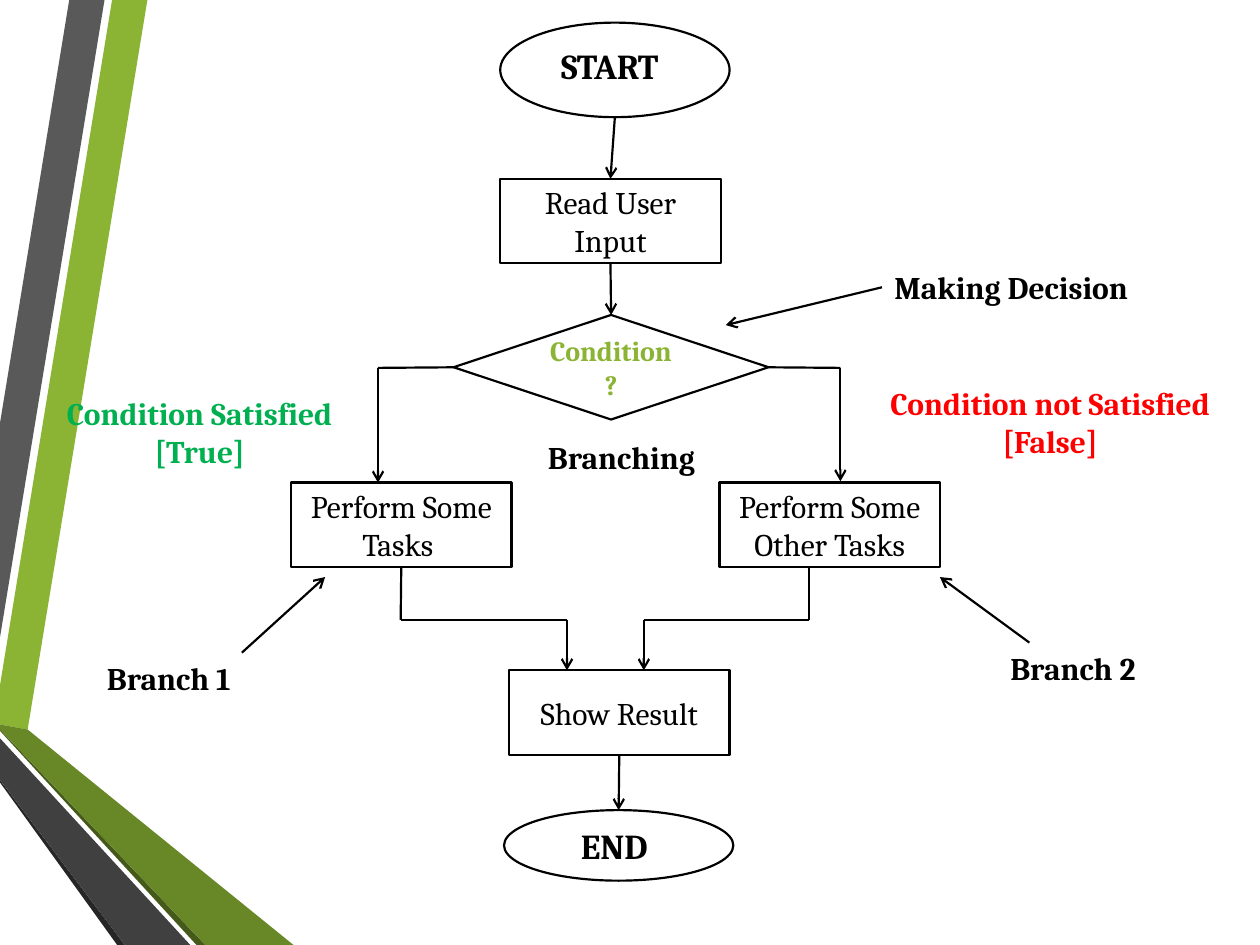
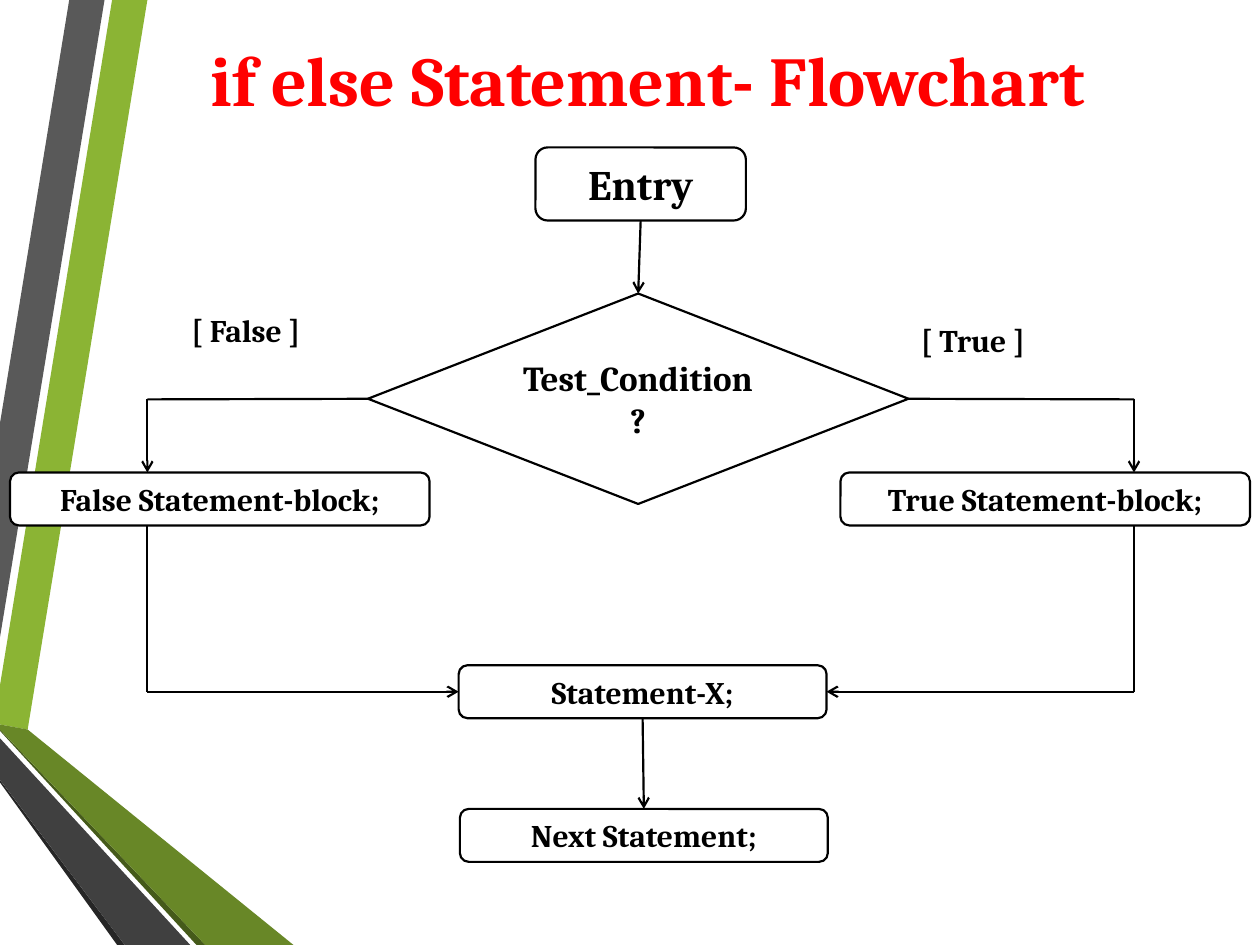
from dataclasses import dataclass

from lxml import etree
from pptx import Presentation
from pptx import util as u
from pptx.dml.color import RGBColor
from pptx.enum import shapes, text
from pptx.oxml import ns

FONT = "Cambria"
BLACK, WHITE, RED = "000000", "FFFFFF", "FF0000"
LIME, GREEN = "8BB434", "00B050"
RECT = shapes.MSO_SHAPE.RECTANGLE
ROUNDED = shapes.MSO_SHAPE.ROUNDED_RECTANGLE
DIAMOND = shapes.MSO_SHAPE.DIAMOND
OVAL = shapes.MSO_SHAPE.OVAL
TOP, LEFT, BOTTOM, RIGHT = range(4)
CENTER = text.PP_ALIGN.CENTER

BANDS = [
    (LIME, [(0, 5.44), (0, 5.75), (0.22, 5.79), (1.17, 0), (0.89, 0)]),
    ("595959", [(0.83, 0), (0.55, 0), (0, 3.36), (0, 5.06)]),
    ("262626", [(0, 6.19), (0, 6.21), (0.93, 7.5), (0.99, 7.5)]),
    ("455A1A", [(0, 5.79), (0, 5.8), (1.56, 7.5), (1.63, 7.5)]),
    ("688727", [(0, 5.79), (1.63, 7.5), (2.33, 7.5), (0.22, 5.79), (0, 5.75)]),
    ("404040", [(0, 6.19), (0.99, 7.5), (1.51, 7.5), (0, 5.86)]),
]


def color(value):
    return RGBColor.from_string(value)


def write(shape, words, size, ink=BLACK, bold=True, align=CENTER,
          anchor=text.MSO_ANCHOR.MIDDLE):
    frame = shape.text_frame
    frame.word_wrap = True
    frame.vertical_anchor = anchor
    frame.text = words
    for para in frame.paragraphs:
        para.alignment = align
        para.font.name = FONT
        para.font.size = u.Pt(size)
        para.font.bold = bold
        para.font.color.rgb = color(ink)


@dataclass
class Region:
    page: object
    left: float
    top: float
    width: float
    height: float

    def point(self, x, y):
        return u.Inches(self.left + x), u.Inches(self.top + y)

    def node(self, kind, x, y, width, height, words="", size=18, **style):
        node = self.page.shapes.add_shape(
            kind, *self.point(x, y), u.Inches(width), u.Inches(height))
        node.shadow.inherit = False
        node.fill.solid()
        node.fill.fore_color.rgb = color(WHITE)
        node.line.color.rgb = color(BLACK)
        node.line.width = u.Pt(1.25)
        if words:
            write(node, words, size, **style)
        return node

    def label(self, x, y, width, height, words, size=18, align=None,
              anchor=text.MSO_ANCHOR.TOP, ink=BLACK):
        label = self.page.shapes.add_textbox(
            *self.point(x, y), u.Inches(width), u.Inches(height))
        write(label, words, size, ink=ink, align=align, anchor=anchor)

    def route(self, *stops):
        """Stops are (x, y) points or (node, side) joints; the last has an arrowhead."""
        for start, end in zip(stops, stops[1:]):
            joined = [not isinstance(stop[0], (int, float)) for stop in (start, end)]
            ends = [self.point(0, 0) if joint else self.point(*stop)
                    for joint, stop in zip(joined, (start, end))]
            link = self.page.shapes.add_connector(
                shapes.MSO_CONNECTOR.STRAIGHT, *ends[0], *ends[1])
            if joined[0]:
                link.begin_connect(*start)
            if joined[1]:
                link.end_connect(*end)
            link.line.color.rgb = color(BLACK)
            link.line.width = u.Pt(1.25)
            if end is stops[-1]:
                etree.SubElement(link.line._get_or_add_ln(), ns.qn("a:tailEnd"), type="arrow")
            etree.SubElement(link._element.spPr, ns.qn("a:effectLst"))


def draw_bands(region):
    for fill, outline in BANDS:
        corners = [region.point(x, y) for x, y in outline]
        builder = region.page.shapes.build_freeform(*corners[0], scale=1.0)
        builder.add_line_segments(corners[1:], close=True)
        band = builder.convert_to_shape()
        band.shadow.inherit = False
        band.fill.solid()
        band.fill.fore_color.rgb = color(fill)
        band.line.fill.background()


def draw_title(region, words):
    region.label(0, 0, region.width, region.height, words, 40, CENTER,
                 text.MSO_ANCHOR.MIDDLE, RED)


def draw_branching(region):
    def step(x, y, words):
        return region.node(RECT, x, y, 1.75, 0.67, words, bold=False)

    middle = text.MSO_ANCHOR.MIDDLE
    finish = region.node(OVAL, 4, 6.25, 1.82, 0.56)
    region.node(OVAL, 3.97, 0, 1.82, 0.75)
    region.label(4.18, 0.11, 1.32, 0.46, "START", 20, CENTER, middle)
    region.label(4.25, 6.32, 1.25, 0.42, "END", 20, CENTER, middle)

    read = step(3.97, 1.24, "Read User Input")
    condition = region.node(DIAMOND, 3.6, 2.32, 2.5, 0.83, "Condition?", 16, ink=LIME)
    tasks = step(2.31, 3.65, "Perform Some Tasks ")
    step(5.71, 3.65, "Perform Some Other Tasks")
    result = step(4.04, 5.14, "Show Result")

    region.route((4.88, 0.75), (read, TOP))
    region.route((read, BOTTOM), (condition, TOP))
    region.route((condition, LEFT), (3, 2.74), (3, 3.65))
    region.route((condition, RIGHT), (6.67, 2.74), (6.67, 3.64))
    region.route((tasks, BOTTOM), (3.18, 4.74), (4.5, 4.74), (4.5, 5.14))
    region.route((6.42, 4.32), (6.42, 4.74), (5.11, 4.74), (5.11, 5.14))
    region.route((result, BOTTOM), (finish, TOP))

    region.label(7, 1.9, 2.5, 0.4, "Making Decision")
    region.label(4.25, 3.25, 1.5, 0.4, "Branching")
    region.label(0.75, 5, 1.5, 0.4, "Branch 1")
    region.label(7.92, 4.92, 1.5, 0.4, "Branch 2")
    region.label(0, 2.9, 3.17, 0.7, "Condition Satisfied\n[True]", align=CENTER, ink=GREEN)
    region.label(6.75, 2.82, 3.17, 0.7, "Condition not Satisfied\n[False]",
                 align=CENTER, ink=RED)
    region.route((7, 2.1), (5.76, 2.4))
    region.route((1.92, 5), (2.58, 4.4))
    region.route((8.17, 4.92), (7.46, 4.4))


def draw_if_else(region):
    def block(x, y, width, words):
        return region.node(ROUNDED, x, y, width, 0.42, words)

    entry = region.node(ROUNDED, 4.17, 0, 1.67, 0.58, "Entry", 24)
    condition = region.node(DIAMOND, 2.84, 1.16, 4.29, 1.67, "Test_Condition ?", 20)
    block(0, 2.58, 3.33, "False Statement-block;")
    block(6.59, 2.58, 3.25, "True Statement-block;")
    merge = block(3.56, 4.11, 2.92, "Statement-X;")
    following = block(3.57, 5.25, 2.92, "Next Statement;")

    region.route((entry, BOTTOM), (condition, TOP))
    for x, side in ((1.09, LEFT), (8.92, RIGHT)):
        region.route((condition, side), (x, 2), (x, 2.58))
        region.route((x, 3), (x, 4.32), (merge, side))
    region.route((merge, BOTTOM), (following, TOP))

    region.label(1.34, 1.25, 1.38, 0.4, "[ False ]")
    region.label(7.13, 1.33, 1.38, 0.4, "[ True ]")


def add_page(deck):
    page = deck.slides.add_slide(deck.slide_layouts[6])
    draw_bands(Region(page, 0, 0, 2.33, 7.5))
    return page


def main():
    deck = Presentation()
    deck.slide_width, deck.slide_height = u.Inches(10), u.Inches(7.5)

    draw_branching(Region(add_page(deck), 0, 0.18, 9.92, 6.81))

    page = add_page(deck)
    draw_title(Region(page, 0.58, 0, 9, 1.25), " if else Statement- Flowchart")
    draw_if_else(Region(page, 0.08, 1.17, 9.84, 5.67))

    deck.save("out.pptx")


if __name__ == "__main__":
    main()
